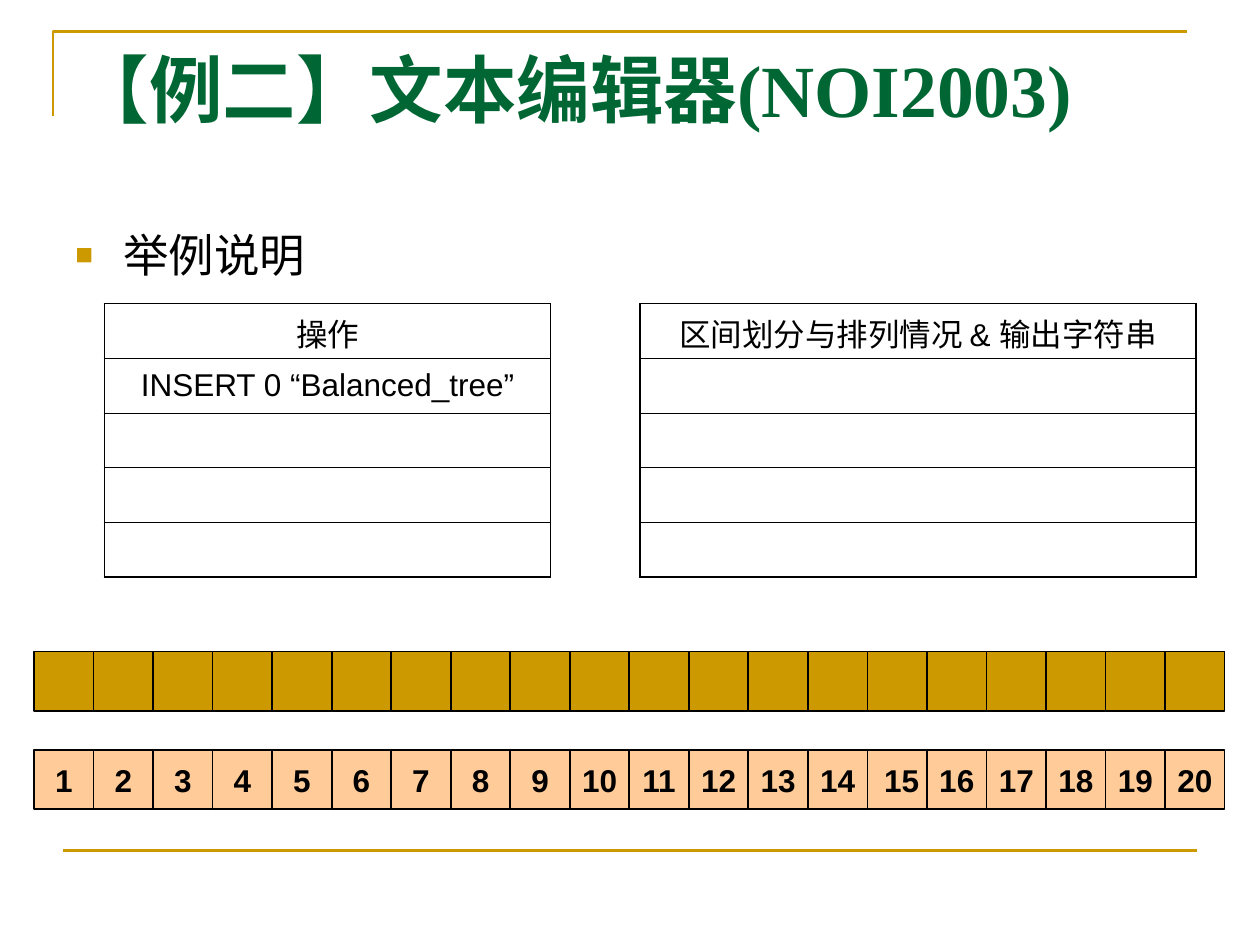
from dataclasses import dataclass

from lxml.etree import SubElement
from pptx import Presentation
from pptx.dml.color import RGBColor
from pptx.enum.shapes import MSO_CONNECTOR, MSO_SHAPE
from pptx.enum.text import MSO_ANCHOR, PP_ALIGN
from pptx.oxml.ns import qn
from pptx.util import Inches, Pt


@dataclass(frozen=True)
class Theme:
    gold: str = "CC9900"
    peach: str = "FFCC99"
    green: str = "006633"
    black: str = "000000"
    title_font: str = "Times New Roman"
    body_font: str = "Arial"
    title_size: float = 42
    body_size: float = 26
    cell_size: float = 18
    rule_width: float = 1.5
    box_width: float = 1
    outer_border: float = 1.08
    inner_border: float = 0.45


THEME = Theme()
SLIDE_WIDTH, SLIDE_HEIGHT = Inches(10), Inches(7.5)
BLOCK_COUNT = 20
BLOCK_LEFT = Inches(0.27)
BLOCK_SIDE = Inches(9.45 / BLOCK_COUNT)
TABLE_TOP = Inches(2.41)
TABLE_ROWS = 5
ROW_HEIGHT = Inches(2.17 / TABLE_ROWS)


def rgb(code):
    return RGBColor.from_string(code)


def add_run(paragraph, text, size, color=THEME.black, font=THEME.body_font, bold=False):
    run = paragraph.add_run()
    run.text = text
    run.font.size = Pt(size)
    run.font.name = font
    run.font.bold = bold
    run.font.color.rgb = rgb(color)


def style_line(line, color, width):
    line.color.rgb = rgb(color)
    line.width = Pt(width)


def add_frame_rules(slide):
    left, top = Inches(0.42), Inches(0.25)
    builder = slide.shapes.build_freeform(left, top + Inches(0.67))
    builder.add_line_segments([(left, top), (left + Inches(9), top)], close=False)
    corner = builder.convert_to_shape()
    corner.shadow.inherit = False
    corner.fill.background()
    style_line(corner.line, THEME.gold, THEME.rule_width)

    footer_y = int(SLIDE_HEIGHT * 0.9)
    footer = slide.shapes.add_connector(
        MSO_CONNECTOR.STRAIGHT,
        int(SLIDE_WIDTH * 0.05), footer_y, int(SLIDE_WIDTH * 0.95), footer_y,
    )
    style_line(footer.line, THEME.gold, THEME.rule_width)
    SubElement(footer._element.spPr, qn("a:effectLst"))


def set_title(slide, text):
    title = slide.shapes.title
    title.left, title.top = Inches(0.5), Inches(0.3)
    title.width, title.height = Inches(9), Inches(1.25)
    frame = title.text_frame
    frame.vertical_anchor = MSO_ANCHOR.TOP
    paragraph = frame.paragraphs[0]
    paragraph.alignment = PP_ALIGN.LEFT
    add_run(paragraph, text, THEME.title_size, THEME.green, THEME.title_font, True)


def add_bullet_text(slide, text):
    body = slide.shapes.add_textbox(
        Inches(0.5), Inches(1.75), Inches(4.42), Inches(4.95)
    )
    body.text_frame.word_wrap = True
    paragraph = body.text_frame.paragraphs[0]
    paragraph.space_before = Pt(6.5)
    properties = paragraph._p.get_or_add_pPr()
    properties.set("marL", str(Inches(0.38)))
    properties.set("indent", str(-Inches(0.38)))
    bullet_color = SubElement(properties, qn("a:buClr"))
    SubElement(bullet_color, qn("a:srgbClr"), val=THEME.gold)
    SubElement(properties, qn("a:buSzPct"), val="65000")
    SubElement(properties, qn("a:buFont"), typeface=THEME.body_font)
    SubElement(properties, qn("a:buChar"), char="■")
    add_run(paragraph, text, THEME.body_size)


def set_cell_borders(cell, is_first, is_last):
    outer, inner = THEME.outer_border, THEME.inner_border
    widths = {
        "a:lnL": outer,
        "a:lnR": outer,
        "a:lnT": outer if is_first else inner,
        "a:lnB": outer if is_last else inner,
    }
    properties = cell._tc.get_or_add_tcPr()
    for side, width in widths.items():
        border = SubElement(properties, qn(side), w=str(Pt(width)))
        fill = SubElement(border, qn("a:solidFill"))
        SubElement(fill, qn("a:srgbClr"), val=THEME.black)


def add_column_table(slide, left, width, entries):
    table = slide.shapes.add_table(
        TABLE_ROWS, 1, left, TABLE_TOP, width, ROW_HEIGHT * TABLE_ROWS
    ).table
    table.first_row = False
    table.horz_banding = False
    for index, row in enumerate(table.rows):
        row.height = ROW_HEIGHT
        cell = row.cells[0]
        set_cell_borders(cell, index == 0, index == TABLE_ROWS - 1)
        cell.fill.background()
        cell.vertical_anchor = MSO_ANCHOR.MIDDLE
        if index < len(entries):
            paragraph = cell.text_frame.paragraphs[0]
            paragraph.alignment = PP_ALIGN.CENTER
            add_run(paragraph, entries[index], THEME.cell_size)


def add_block_row(slide, top, color, labels=()):
    row = slide.shapes.add_group_shape()
    for column in range(BLOCK_COUNT):
        block = row.shapes.add_shape(
            MSO_SHAPE.RECTANGLE,
            BLOCK_LEFT + column * BLOCK_SIDE, top, BLOCK_SIDE, BLOCK_SIDE,
        )
        block.shadow.inherit = False
        block.fill.solid()
        block.fill.fore_color.rgb = rgb(color)
        style_line(block.line, THEME.black, THEME.box_width)
        if labels:
            frame = block.text_frame
            frame.word_wrap = False
            frame.vertical_anchor = MSO_ANCHOR.MIDDLE
            paragraph = frame.paragraphs[0]
            paragraph.alignment = PP_ALIGN.CENTER
            add_run(paragraph, labels[column], THEME.cell_size, bold=True)


def main():
    deck = Presentation()
    deck.slide_width, deck.slide_height = SLIDE_WIDTH, SLIDE_HEIGHT
    slide = deck.slides.add_slide(deck.slide_layouts[5])

    add_frame_rules(slide)
    set_title(slide, "【例二】文本编辑器(NOI2003)")
    add_bullet_text(slide, "举例说明")
    add_block_row(slide, Inches(5.17), THEME.gold)
    add_column_table(
        slide, Inches(0.83), Inches(3.54), ["操作", "INSERT 0 “Balanced_tree”"]
    )
    add_column_table(
        slide, Inches(5.08), Inches(4.41), ["区间划分与排列情况 & 输出字符串"]
    )
    positions = [
        " 15" if number == 15 else str(number)
        for number in range(1, BLOCK_COUNT + 1)
    ]
    add_block_row(slide, Inches(5.95), THEME.peach, positions)

    deck.save("out.pptx")


if __name__ == "__main__":
    main()
